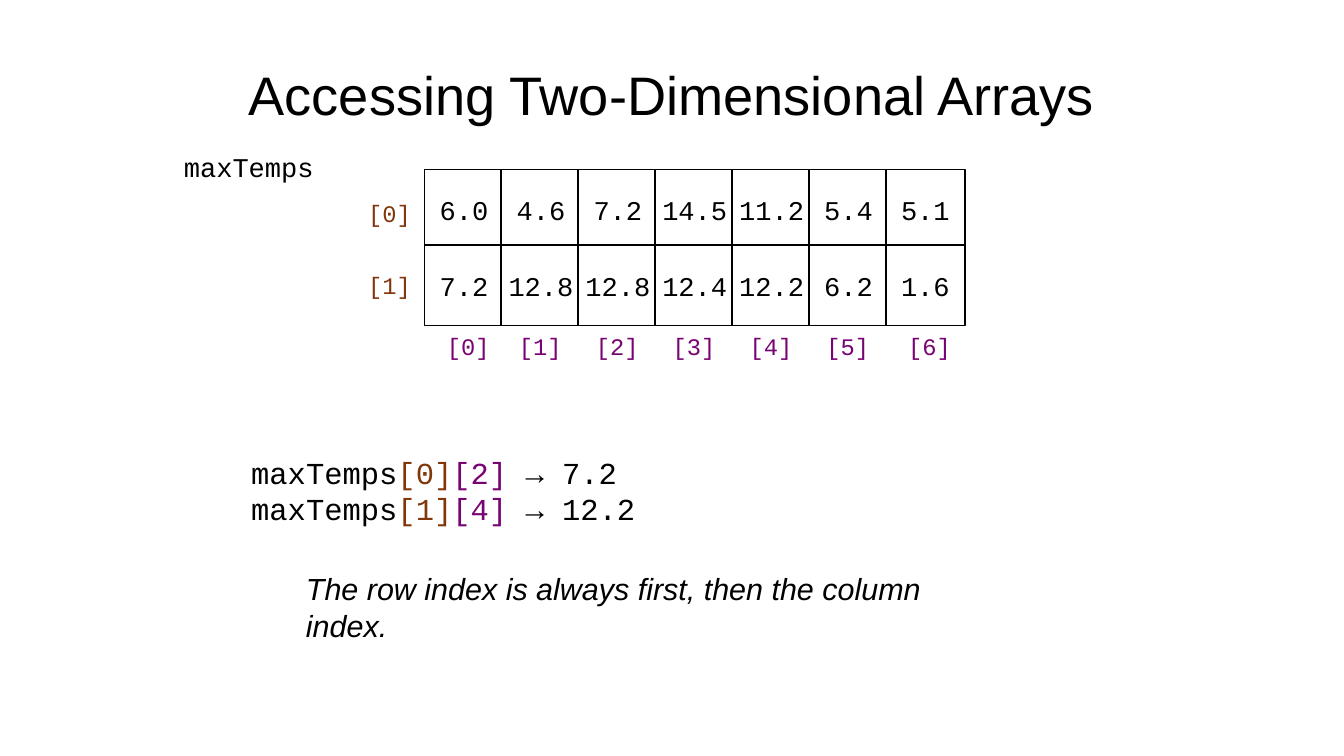
from dataclasses import dataclass
from typing import NamedTuple

from pptx import Presentation, util as u
from pptx.dml.color import RGBColor
from pptx.enum import shapes, text


@dataclass(frozen=True)
class Theme:
    black: str = "000000"
    white: str = "FFFFFF"
    row_color: str = "813709"
    column_color: str = "780373"
    sans: str = "Arial"
    mono: str = "Courier New"
    title_size: int = 32
    body_size: int = 18
    cell_size: int = 16
    index_size: int = 14


class Box(NamedTuple):
    """A frame in percent of the slide's width and height."""
    left: float
    top: float
    width: float
    height: float


class Run(NamedTuple):
    text: str
    color: str


@dataclass(frozen=True)
class Label:
    box: Box
    lines: list[list[Run]]
    size: int
    font: str
    italic: bool = False


@dataclass(frozen=True)
class Grid:
    """Cell origins, with pitches and cell sizes in percent of the slide."""
    left: float = 31.58
    top: float = 22.4
    column: float = 5.72
    row: float = 10
    cell_width: float = 5.9
    cell_height: float = 10.65

    def cell(self, row: int, column: int) -> Box:
        return Box(self.left + column * self.column, self.top + row * self.row,
                   self.cell_width, self.cell_height)


THEME = Theme()
GRID = Grid()
WIDTH, HEIGHT = u.Inches(11.02), u.Inches(6.2)
TEMPERATURES = [
    ["6.0", "4.6", "7.2", "14.5", "11.2", "5.4", "5.1"],
    ["7.2", "12.8", "12.8", "12.4", "12.2", "6.2", "1.6"],
]
LOOKUPS = [("[0]", "[2]", "7.2"), ("[1]", "[4]", "12.2")]
INDEX_WIDTH, INDEX_HEIGHT = 4.99, 5.16
ROW_INDEX_LEFT, ROW_INDEX_TOP, ROW_INDEX_STEP = 26.5, 25.48, 9.52
COLUMN_INDEX_LEFT, COLUMN_INDEX_TOP, END_SHIFT = 32, 43.06, 0.36


def frame(box: Box) -> tuple[int, int, int, int]:
    return (round(WIDTH * box.left / 100), round(HEIGHT * box.top / 100),
            round(WIDTH * box.width / 100), round(HEIGHT * box.height / 100))


def write_text(shape, lines: list[list[Run]], *, size: int, font: str,
               italic: bool = False, align=text.PP_ALIGN.LEFT,
               anchor=text.MSO_ANCHOR.TOP, wrap: bool = True,
               insets: tuple[float, float] = (0.1, 0.05)) -> None:
    text_frame = shape.text_frame
    text_frame.auto_size = text.MSO_AUTO_SIZE.NONE
    text_frame.word_wrap = wrap
    text_frame.vertical_anchor = anchor
    text_frame.margin_left = text_frame.margin_right = u.Inches(insets[0])
    text_frame.margin_top = text_frame.margin_bottom = u.Inches(insets[1])
    for number, line in enumerate(lines):
        paragraph = text_frame.add_paragraph() if number else text_frame.paragraphs[0]
        paragraph.alignment = align
        for part in line:
            run = paragraph.add_run()
            run.text = part.text
            run.font.size = u.Pt(size)
            run.font.name = font
            run.font.italic = italic
            run.font.color.rgb = RGBColor.from_string(part.color)


def add_title(slide, title: str) -> None:
    shape = slide.shapes.title
    shape.left, shape.top, shape.width, shape.height = frame(Box(4.99, 4, 90, 16.7))
    write_text(shape, [[Run(title, THEME.black)]], size=THEME.title_size, font=THEME.sans,
               align=text.PP_ALIGN.CENTER, anchor=text.MSO_ANCHOR.MIDDLE, insets=(0, 0))


def add_cell(slide, box: Box, value: str) -> None:
    shape = slide.shapes.add_shape(shapes.MSO_SHAPE.RECTANGLE, *frame(box))
    shape.shadow.inherit = False
    shape.fill.solid()
    shape.fill.fore_color.rgb = RGBColor.from_string(THEME.white)
    shape.line.color.rgb = RGBColor.from_string(THEME.black)
    shape.line.width = u.Pt(1)
    write_text(shape, [[Run(value, THEME.black)]], size=THEME.cell_size, font=THEME.mono,
               align=text.PP_ALIGN.CENTER, anchor=text.MSO_ANCHOR.MIDDLE,
               wrap=False, insets=(0.11, 0.06))


def add_label(slide, label: Label) -> None:
    write_text(slide.shapes.add_textbox(*frame(label.box)), label.lines,
               size=label.size, font=label.font, italic=label.italic)


def index_label(left: float, top: float, index: int, color: str) -> Label:
    return Label(Box(left, top, INDEX_WIDTH, INDEX_HEIGHT),
                 [[Run(f"[{index}]", color)]], THEME.index_size, THEME.mono)


def index_labels() -> list[Label]:
    rows = [index_label(ROW_INDEX_LEFT, ROW_INDEX_TOP + row * ROW_INDEX_STEP,
                        row, THEME.row_color)
            for row in range(len(TEMPERATURES))]
    last = len(TEMPERATURES[0]) - 1
    columns = [index_label(COLUMN_INDEX_LEFT + column * GRID.column
                           + (END_SHIFT if column in (0, last) else 0),
                           COLUMN_INDEX_TOP, column, THEME.column_color)
               for column in range(last + 1)]
    return rows + columns


def text_labels() -> list[Label]:
    lookups = [[Run("maxTemps", THEME.black), Run(row, THEME.row_color),
                Run(column, THEME.column_color), Run(f" → {value}", THEME.black)]
               for row, column, value in LOOKUPS]
    rule = "The row index is always first, then the column index."
    return [
        Label(Box(17.79, 59.25, 30.4, 10.81), lookups, THEME.body_size, THEME.mono),
        Label(Box(12.79, 19.1, 12.5, 5.65), [[Run("maxTemps", THEME.black)]],
              THEME.cell_size, THEME.mono),
        Label(Box(21.87, 74.6, 54.17, 6.13), [[Run(rule, THEME.black)]],
              THEME.body_size, THEME.sans, italic=True),
    ]


def main() -> None:
    presentation = Presentation()
    presentation.slide_width, presentation.slide_height = WIDTH, HEIGHT
    title_only = presentation.slide_layouts.get_by_name("Title Only")
    slide = presentation.slides.add_slide(title_only)
    add_title(slide, "Accessing Two-Dimensional Arrays")
    for row, values in enumerate(TEMPERATURES):
        for column, value in enumerate(values):
            add_cell(slide, GRID.cell(row, column), value)
    for label in index_labels() + text_labels():
        add_label(slide, label)
    presentation.save("out.pptx")


if __name__ == "__main__":
    main()
